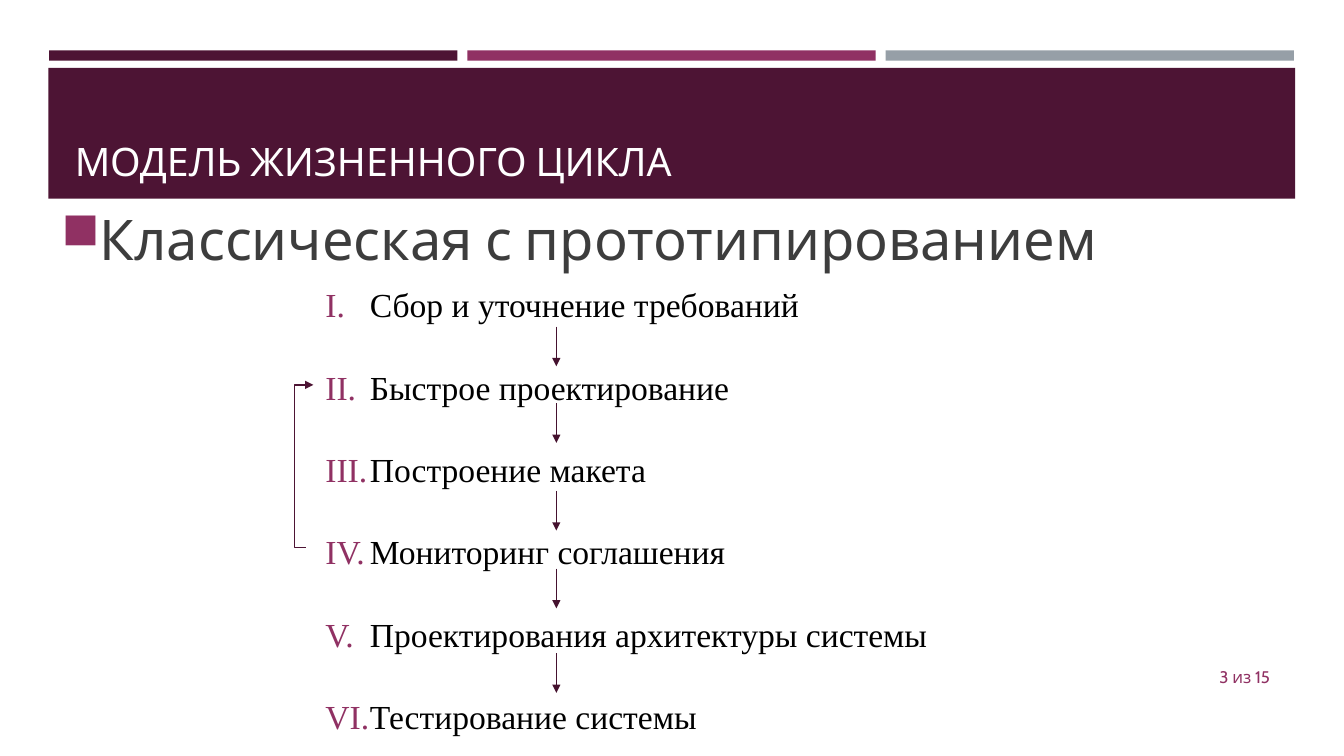
from lxml import etree
from pptx import Presentation, util as u
from pptx.dml.color import RGBColor
from pptx.enum import shapes, text
from pptx.oxml.ns import qn

COLORS = {
    "plum": "4D1434", "berry": "903163", "steel": "969FA7", "arrow": "45122F",
    "white": "FFFFFF", "body": "3D3D3D", "black": "000000",
}
STAGES = [
    "Сбор и уточнение требований", "Быстрое проектирование",
    "Построение макета", "Мониторинг соглашения",
    "Проектирования архитектуры системы", "Тестирование системы",
]


def color(name):
    return RGBColor.from_string(COLORS[name])


def assign(target, values):
    for name, value in values.items():
        setattr(target, name, value)


def add_xml(parent, tag, **attributes):
    return etree.SubElement(parent, qn(tag), attributes)


class SlideBuilder:
    """Holds the page and its style."""

    def __init__(self, page, font="Cabin"):
        self.page, self.font = page, font

    def bar(self, left, top, width, height, fill):
        shape = self.page.shapes.add_shape(
            shapes.MSO_SHAPE.RECTANGLE, *map(u.Cm, (left, top, width, height)))
        shape.shadow.inherit = False
        shape.fill.solid()
        shape.fill.fore_color.rgb = color(fill)
        shape.line.fill.background()

    def fill_text(self, box, lines, size, ink, anchor, font=None, **layout):
        frame = box.text_frame
        assign(frame, {"word_wrap": True, "vertical_anchor": anchor,
                       "auto_size": text.MSO_AUTO_SIZE.NONE})
        for index, line in enumerate(lines):
            para = frame.add_paragraph() if index else frame.paragraphs[0]
            assign(para, layout)
            span = para.add_run()
            span.text = line
            assign(span.font, {"size": u.Pt(size), "name": font or self.font})
            span.font.color.rgb = color(ink)
        return frame.paragraphs

    def title(self, line, left, top, width, height):
        box = self.page.shapes.title
        assign(box, dict(zip(("left", "top", "width", "height"),
                             map(u.Cm, (left, top, width, height)))))
        # Bring the title in front of the band
        self.page.shapes._spTree.append(box._element)
        self.fill_text(box, [line], 28, "white", text.MSO_ANCHOR.BOTTOM,
                       alignment=text.PP_ALIGN.LEFT)

    def text(self, lines, left, top, width, height, *style, **layout):
        box = self.page.shapes.add_textbox(
            *map(u.Cm, (left, top, width, height)))
        return self.fill_text(box, lines, *style, **layout)

    def bullets(self, paras, indent, tag, percent=100, **attributes):
        for para in paras:
            props = para._p.get_or_add_pPr()
            props.set("marL", str(u.Cm(indent)))
            props.set("indent", str(-u.Cm(indent)))
            tint = add_xml(props, "a:buClr")
            add_xml(tint, "a:srgbClr", val=COLORS["berry"])
            add_xml(props, "a:buSzPct", val=str(percent * 1000))
            add_xml(props, tag, **attributes)

    def arrow(self, start, end, ink, bend=None):
        kind = shapes.MSO_CONNECTOR.STRAIGHT
        if bend is not None:
            kind = shapes.MSO_CONNECTOR.ELBOW
        line = self.page.shapes.add_connector(
            kind, *map(u.Cm, (*start, *end)))
        line.line.color.rgb = color(ink)
        line.line.width = u.Pt(1)
        props = line._element.spPr
        add_xml(props.find(qn("a:ln")), "a:tailEnd", type="triangle")
        add_xml(props, "a:effectLst")
        if bend is not None:
            guides = props.find(qn("a:prstGeom")).find(qn("a:avLst"))
            add_xml(guides, "a:gd", name="adj1",
                    fmla=f"val {round(bend * 100000)}")


def main():
    deck = Presentation()
    deck.slide_width, deck.slide_height = u.Cm(33.87), u.Cm(19.05)
    slide = SlideBuilder(deck.slides.add_slide(deck.slide_layouts[5]))

    # Header bars and title band
    for column, fill in enumerate(("plum", "berry", "steel")):
        slide.bar(1.24 + column * 10.54, 1.27, 10.29, 0.26, fill)
    slide.bar(1.22, 1.71, 31.42, 3.3, "plum")
    slide.title("МОДЕЛЬ ЖИЗНЕННОГО ЦИКЛА", 1.63, 1.96, 30.63, 2.82)

    # Subheading and page number
    middle = text.MSO_ANCHOR.MIDDLE
    heading = slide.text(
        ["Классическая с прототипированием"], 1.3, 4.95, 30.63, 2.08,
        40, "body", middle, space_before=u.Pt(8), space_after=u.Pt(6))
    slide.bullets(heading, 0.84, "a:buChar", percent=92, char="■")
    slide.text(["3 из 15"], 29.34, 16.54, 2.92, 1.02, 12, "berry", middle,
               alignment=text.PP_ALIGN.RIGHT)

    # Numbered stages
    stages = slide.text(
        STAGES, 7.95, 7.04, 16.94, 11.53, 24, "black", text.MSO_ANCHOR.TOP,
        "Times New Roman", space_after=u.Pt(30))
    slide.bullets(stages, 1.12, "a:buAutoNum", type="romanUcPeriod")

    # Arrows between stages, then the loop back to stage II
    for top in (8.23, 10.16, 12.37, 14.33, 16.46):
        slide.arrow((14.02, top), (14.02, top + 1), "arrow")
    slide.arrow((7.7, 13.8), (7.9, 9.7), "plum", bend=-1.41)

    deck.save("out.pptx")


if __name__ == "__main__":
    main()
